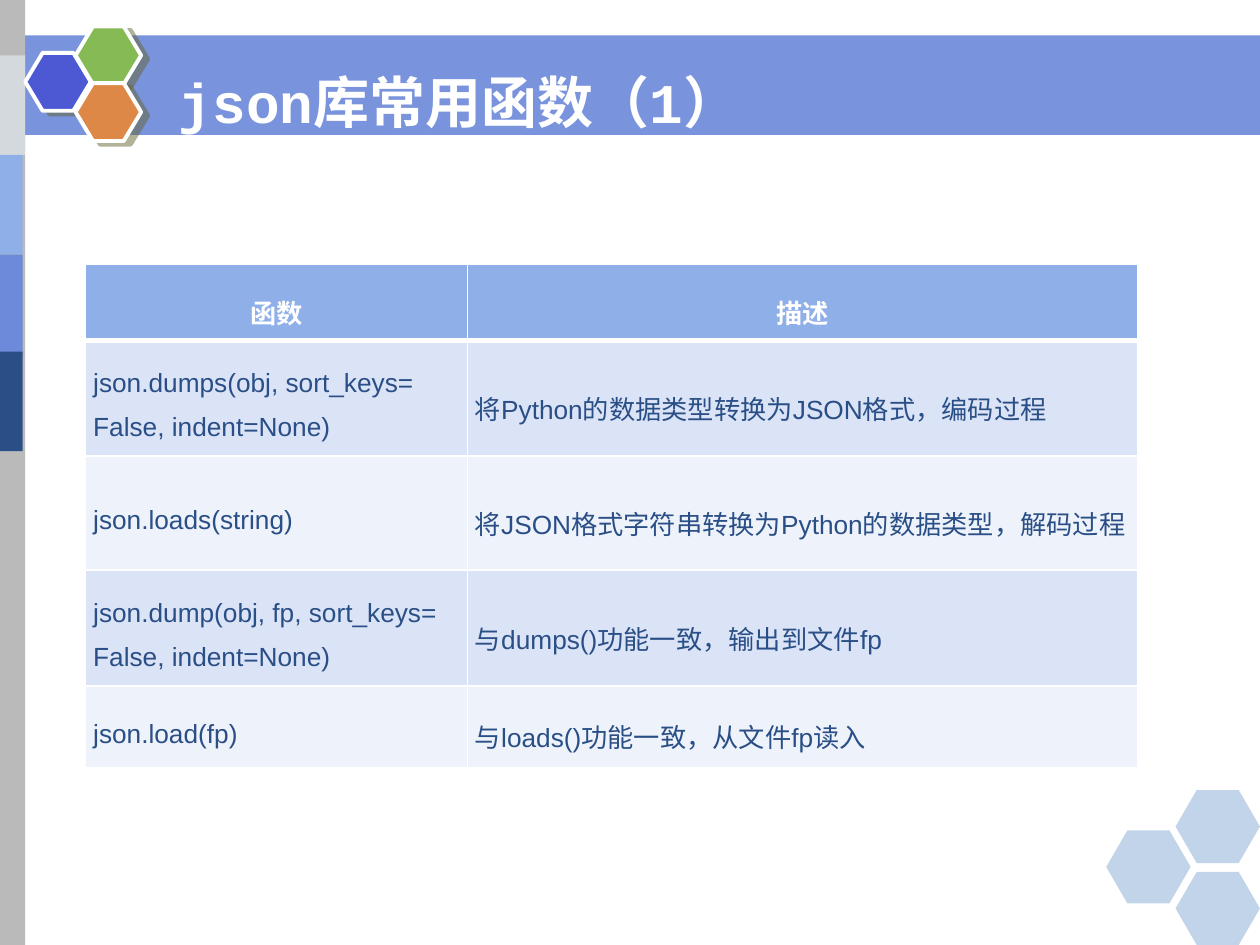
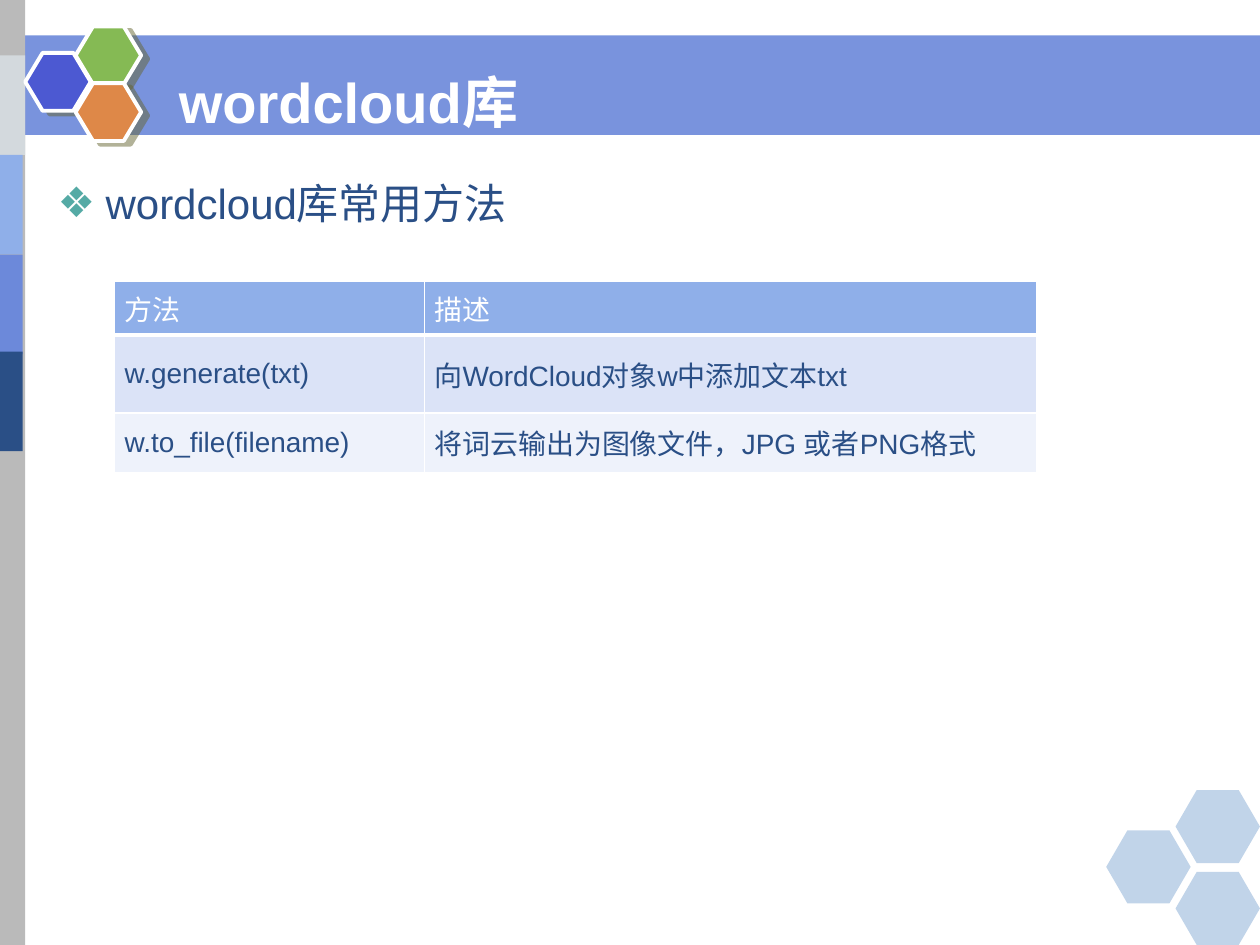
from lxml import etree
from pptx import Presentation
from pptx import util as u
from pptx.dml.color import RGBColor
from pptx.enum import shapes, text
from pptx.oxml.ns import qn

WHITE, NAVY, SKY, PERIWINKLE = "FFFFFF", "2A4F86", "8FAFE9", "6C89DA"
ROW_FILLS = ("DBE3F7", "EEF2FB")
TITLE_BOX = (1.31, 0.45, 8.06, 0.7)
JUSTIFY, CENTER = text.PP_ALIGN.JUSTIFY, text.PP_ALIGN.CENTER
MIDDLE = text.MSO_ANCHOR.MIDDLE


def rgb(color):
    return RGBColor.from_string(color)


def add_xml(parent, tag, **values):
    child = etree.SubElement(parent, qn(tag))
    for name, value in values.items():
        child.set(name, str(value))
    return child


def add_color(parent, color):
    return add_xml(parent, "a:srgbClr", val=color)


def set_attributes(target, values):
    for name, value in values.items():
        setattr(target, name, value)


def write(para, words, size, color, bold=False, font="Arial", **layout):
    set_attributes(para, {"alignment": JUSTIFY, **layout})
    span = para.add_run()
    span.text = words
    set_attributes(span.font, {"name": font, "size": u.Pt(size), "bold": bold})
    span.font.color.rgb = rgb(color)


# Shared decoration
def add_block(page, kind, box, fill, opacity=100, bend=None):
    block = page.shapes.add_shape(kind, *map(u.Inches, box))
    block.shadow.inherit = False
    block.fill.solid()
    block.fill.fore_color.rgb = rgb(fill)
    block.line.fill.background()
    if opacity < 100:
        color = next(block.element.spPr.iter(qn("a:srgbClr")))
        add_xml(color, "a:alpha", val=opacity * 1000)
    if bend:
        block.adjustments[0] = bend
    return block


def outline_with_shadow(block):
    block.line.color.rgb = rgb(WHITE)
    block.line.width = u.Pt(2.25)
    effects = block.element.spPr.find(qn("a:effectLst"))
    shadow = add_xml(effects, "a:outerShdw", blurRad=0, dist=u.Pt(4.5),
                     dir=27 * 60000, algn="ctr", rotWithShape=0)
    add_xml(add_color(shadow, "666633"), "a:alpha", val=50000)


def add_decoration(page):
    rectangle, hexagon = shapes.MSO_SHAPE.RECTANGLE, shapes.MSO_SHAPE.HEXAGON
    blocks = [
        add_block(page, rectangle, (0, 0.28, 10, 0.79), PERIWINKLE, 91),
        add_block(page, rectangle, (-0.01, 0, 0.21, 7.5), "BABABA"),
    ]
    # Colour steps down the side strip
    for left, top, fill in ((0, 0.44, "D3D9DD"), (-0.02, 1.23, SKY),
                            (-0.02, 2.02, PERIWINKLE), (-0.02, 2.79, NAVY)):
        blocks.append(add_block(page, rectangle, (left, top, 0.2, 0.79), fill))
    # Hexagons beside the title
    for left, top, fill in ((0.2, 0.42, "4C59D2"), (0.6, 0.21, "85BA54"),
                            (0.6, 0.66, "DE8848")):
        cell = add_block(page, hexagon, (left, top, 0.52, 0.46), fill, bend=0.3)
        outline_with_shadow(cell)
        blocks.append(cell)
    # Pale hexagons in the corner
    for left, top in ((8.78, 6.59), (9.33, 6.27), (9.33, 6.92)):
        blocks.append(add_block(page, hexagon, (left, top, 0.67, 0.58),
                                "5086C2", 35, 0.29))
    return blocks


def move_to_layout(blocks, layout):
    tree = layout.shapes.element
    for index, block in enumerate(blocks, start=2):
        tree.insert(index, block.element)


# Page content
def add_page(deck, layout, title, font="Arial"):
    page = deck.slides.add_slide(layout)
    box = page.shapes.title
    for name, value in zip(("left", "top", "width", "height"), TITLE_BOX):
        setattr(box, name, u.Inches(value))
    set_attributes(box.text_frame, {
        "vertical_anchor": MIDDLE, "word_wrap": True,
        "auto_size": text.MSO_AUTO_SIZE.NONE,
        "margin_left": u.Inches(0.11), "margin_right": u.Inches(0.11),
        "margin_top": u.Inches(0.06), "margin_bottom": u.Inches(0.06)})
    write(box.text_frame.paragraphs[0], title, 32, WHITE, True, font)
    return page


def add_bullet(page, box, words):
    frame = page.shapes.add_textbox(*map(u.Inches, box)).text_frame
    frame.word_wrap = True
    para = frame.paragraphs[0]
    write(para, words, 24, NAVY)
    format_xml = para._p.get_or_add_pPr()
    format_xml.set("marL", str(u.Inches(0.38)))
    format_xml.set("indent", str(-u.Inches(0.38)))
    add_xml(add_xml(format_xml, "a:spcBef"), "a:spcPct", val=20000)
    add_color(add_xml(format_xml, "a:buClr"), "55AAA5")
    add_xml(format_xml, "a:buFont", typeface="Arial")
    add_xml(format_xml, "a:buChar", char="❖")


def add_borders(cell, bottom):
    cell_xml = cell._tc.get_or_add_tcPr()
    for side, width in (("L", 1), ("R", 1), ("T", 1), ("B", bottom)):
        line = add_xml(cell_xml, f"a:ln{side}", w=u.Pt(width))
        add_color(add_xml(line, "a:solidFill"), WHITE)


def add_function_table(page, place, widths, heights, rows, size, inset,
                       header, **layout):
    left, top = place
    table = page.shapes.add_table(
        len(rows), len(widths), u.Inches(left), u.Inches(top),
        u.Inches(sum(widths)), u.Inches(sum(heights))).table
    table.horz_banding = False
    for column, width in zip(table.columns, widths):
        column.width = u.Inches(width)
    for number, (row, height) in enumerate(zip(rows, heights)):
        table.rows[number].height = u.Inches(height)
        is_header = number == 0
        style = {"color": NAVY, **layout}
        if is_header:
            style.update(color=WHITE, **header)
        for cell, words in zip(table.rows[number].cells, row):
            set_attributes(cell, {
                "vertical_anchor": MIDDLE, "margin_top": 0, "margin_bottom": 0,
                "margin_left": u.Inches(inset), "margin_right": u.Inches(inset)})
            add_borders(cell, 3 if is_header else 1)
            cell.fill.solid()
            cell.fill.fore_color.rgb = rgb(
                SKY if is_header else ROW_FILLS[(number - 1) % 2])
            frame = cell.text_frame
            for index, line in enumerate(words.split("\n")):
                para = frame.add_paragraph() if index else frame.paragraphs[0]
                write(para, line, size, **style)


def main():
    deck = Presentation()
    deck.slide_width, deck.slide_height = u.Inches(10), u.Inches(7.5)
    layout = deck.slide_layouts[5]

    # json functions
    page = add_page(deck, layout, "json库常用函数（1）", "Courier New")
    move_to_layout(add_decoration(page), layout)
    add_function_table(
        page, (0.68, 2.1), (3.03, 5.32), (0.6, 0.92, 0.65, 0.92, 0.65),
        [("函数", "描述"),
         ("json.dumps(obj, sort_keys=\nFalse, indent=None)",
          "将Python的数据类型转换为JSON格式，编码过程"),
         ("json.loads(string)",
          "将JSON格式字符串转换为Python的数据类型，解码过程"),
         ("json.dump(obj, fp, sort_keys=\nFalse, indent=None)",
          "与dumps()功能一致，输出到文件fp"),
         ("json.load(fp)", "与loads()功能一致，从文件fp读入")],
        size=15, inset=0.06, header={"bold": True, "alignment": CENTER},
        line_spacing=1.5)

    # wordcloud methods
    page = add_page(deck, layout, "wordcloud库")
    add_bullet(page, (0.36, 1.36, 9.27, 0.65), "wordcloud库常用方法")
    add_function_table(
        page, (0.91, 2.23), (2.46, 4.86), (0.43, 0.62, 0.47),
        [("方法", "描述"),
         ("w.generate(txt)", "向WordCloud对象w中添加文本txt"),
         ("w.to_file(filename)", "将词云输出为图像文件，JPG 或者PNG格式")],
        size=16, inset=0.08, header={})

    deck.save("out.pptx")


if __name__ == "__main__":
    main()
